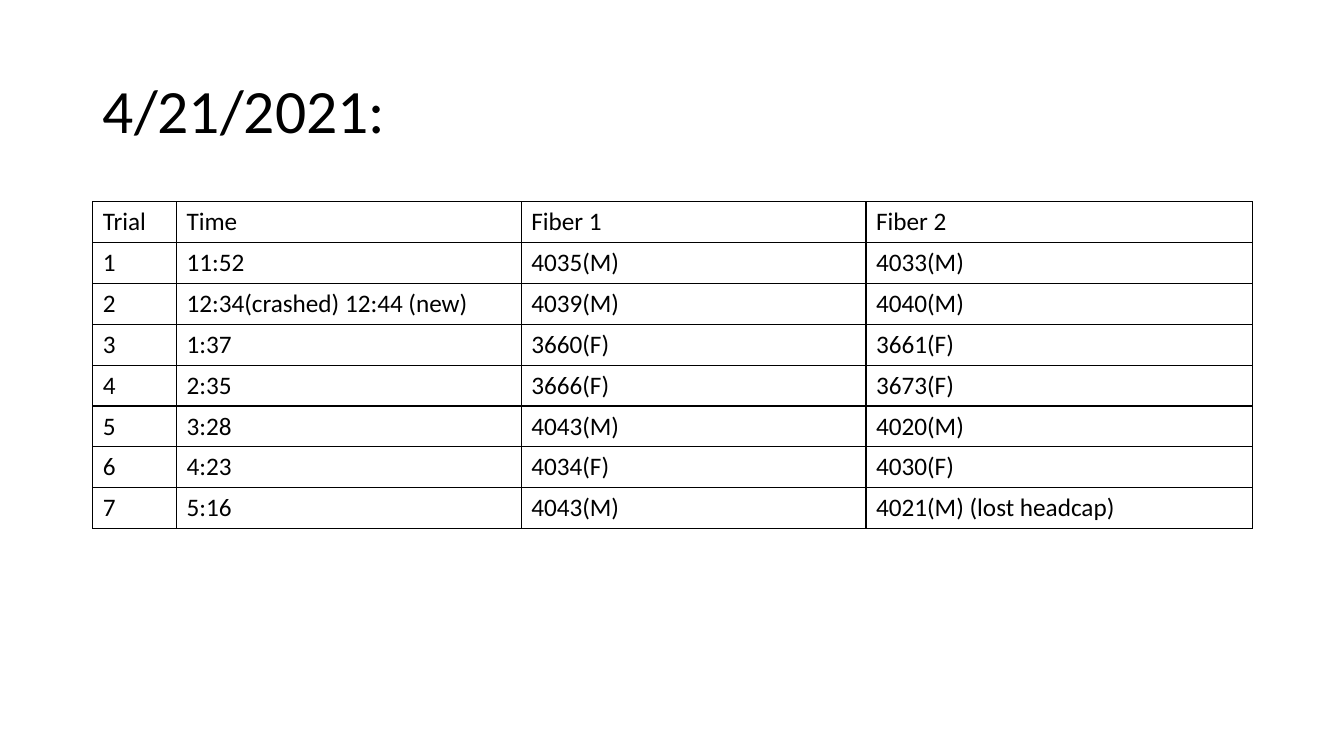
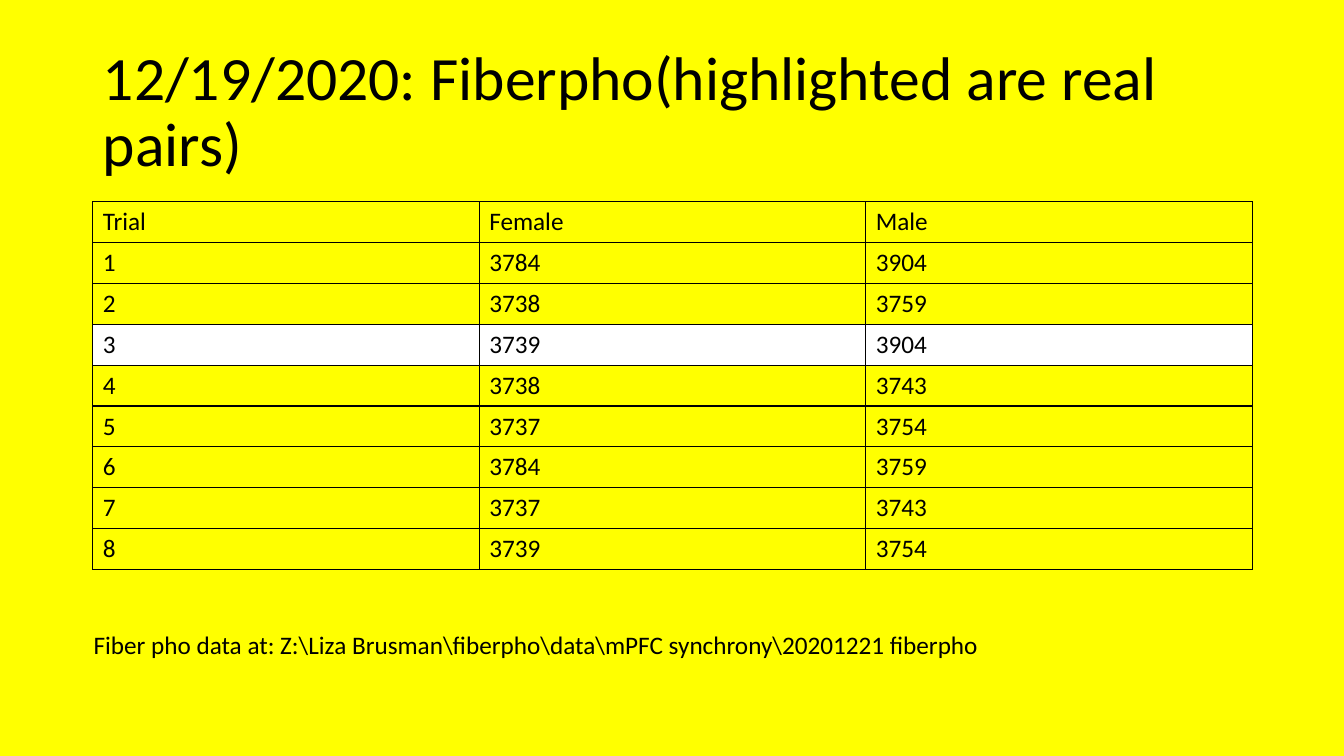
import pptx
import pptx.util
import pptx.dml.color
import pptx.enum.text
import pptx.oxml
import pptx.oxml.ns

Inches, Pt = pptx.util.Inches, pptx.util.Pt
BLACK, WHITE, YELLOW = "000000", "FFFFFF", "FFFF00"
LEFT, WIDTH = Inches(0.92), Inches(11.5)
TITLE_FRAME = {"left": LEFT, "top": Inches(0.4), "width": WIDTH, "height": Inches(1.45)}
TITLE_TEXT = {"vertical_anchor": pptx.enum.text.MSO_ANCHOR.MIDDLE,
              "auto_size": pptx.enum.text.MSO_AUTO_SIZE.NONE, "word_wrap": True}
NOTE_TEXT = {"word_wrap": False,
             "auto_size": pptx.enum.text.MSO_AUTO_SIZE.SHAPE_TO_FIT_TEXT}
TABLE_FLAGS = {"first_row": False, "horz_banding": False}
UNFILLED_ROWS = {0, 4, 5, 6}

sessions = [
    {"title": "4/21/2021:", "page": WHITE, "height": 3.24,
     "columns": [0.83, 3.42, 3.42, 3.83], "plain_row": None, "note": None,
     "rows": [
         ["Trial", "Time", "Fiber 1", "Fiber 2"],
         ["1", "11:52", "4035(M)", "4033(M)"],
         ["2", "12:34(crashed) 12:44 (new)", "4039(M)", "4040(M)"],
         ["3", "1:37 ", "3660(F)", "3661(F)"],
         ["4", "2:35", "3666(F)", "3673(F)"],
         ["5", "3:28", "4043(M)", "4020(M)"],
         ["6", "4:23", "4034(F)", "4030(F)"],
         ["7", "5:16", "4043(M)", "4021(M) (lost headcap)"]]},
    {"title": "12/19/2020: Fiberpho(highlighted are real pairs)",
     "page": YELLOW, "height": 3.65, "columns": [11.5 / 3] * 3, "plain_row": 3,
     "note": "Fiber pho data at: Z:\\Liza Brusman\\fiberpho\\data"
             "\\mPFC synchrony\\20201221 fiberpho",
     "rows": [
         ["Trial", "Female", "Male"],
         ["1", "3784", "3904"],
         ["2", "3738", "3759"],
         ["3", "3739", "3904"],
         ["4", "3738", "3743"],
         ["5", "3737", "3754"],
         ["6", "3784", "3759"],
         ["7", "3737", "3743"],
         ["8", "3739", "3754"]]},
]


def paint(fill, color):
    fill.solid()
    fill.fore_color.rgb = pptx.dml.color.RGBColor.from_string(color)


def write(frame, text, size):
    frame.text = text
    font = frame.paragraphs[0].runs[0].font
    for name, value in {"name": "Calibri", "size": Pt(size)}.items():
        setattr(font, name, value)
    paint(font.fill, BLACK)


deck = pptx.Presentation()
deck.slide_width, deck.slide_height = Inches(13.33), Inches(7.5)

for session in sessions:
    slide = deck.slides.add_slide(deck.slide_layouts[5])
    paint(slide.background.fill, session["page"])

    # Title
    title = slide.shapes.title
    write(title.text_frame, session["title"], 44)
    for target, values in ((title, TITLE_FRAME), (title.text_frame, TITLE_TEXT)):
        for name, value in values.items():
            setattr(target, name, value)
    heading = title.text_frame.paragraphs[0]
    heading.alignment = pptx.enum.text.PP_ALIGN.LEFT
    heading.line_spacing = 0.9

    # Trial table
    rows, columns = session["rows"], session["columns"]
    trials = slide.shapes.add_table(len(rows), len(columns), LEFT, Inches(2),
                                    WIDTH, Inches(session["height"])).table
    for name, value in TABLE_FLAGS.items():
        setattr(trials, name, value)
    for column, width in zip(trials.columns, columns):
        column.width = Inches(width)
    for r, row in enumerate(rows):
        for c, text in enumerate(row):
            cell = trials.cell(r, c)
            write(cell.text_frame, text, 18)
            # Borders come before the fill in the cell properties
            for side in ("lnL", "lnR", "lnT", "lnB"):
                cell._tc.get_or_add_tcPr().append(pptx.oxml.parse_xml(
                    f'<a:{side} {pptx.oxml.ns.nsdecls("a")} w="{Pt(1)}"><a:solidFill>'
                    f'<a:srgbClr val="{BLACK}"/></a:solidFill></a:{side}>'))
            if r in UNFILLED_ROWS:
                cell.fill.background()
            else:
                paint(cell.fill, WHITE if r == session["plain_row"] else session["page"])

    # Data location
    if session["note"]:
        note = slide.shapes.add_textbox(Inches(0.83), Inches(6.19), Inches(9.08), Inches(0.4))
        write(note.text_frame, session["note"], 18)
        for name, value in NOTE_TEXT.items():
            setattr(note.text_frame, name, value)

deck.save("out.pptx")
